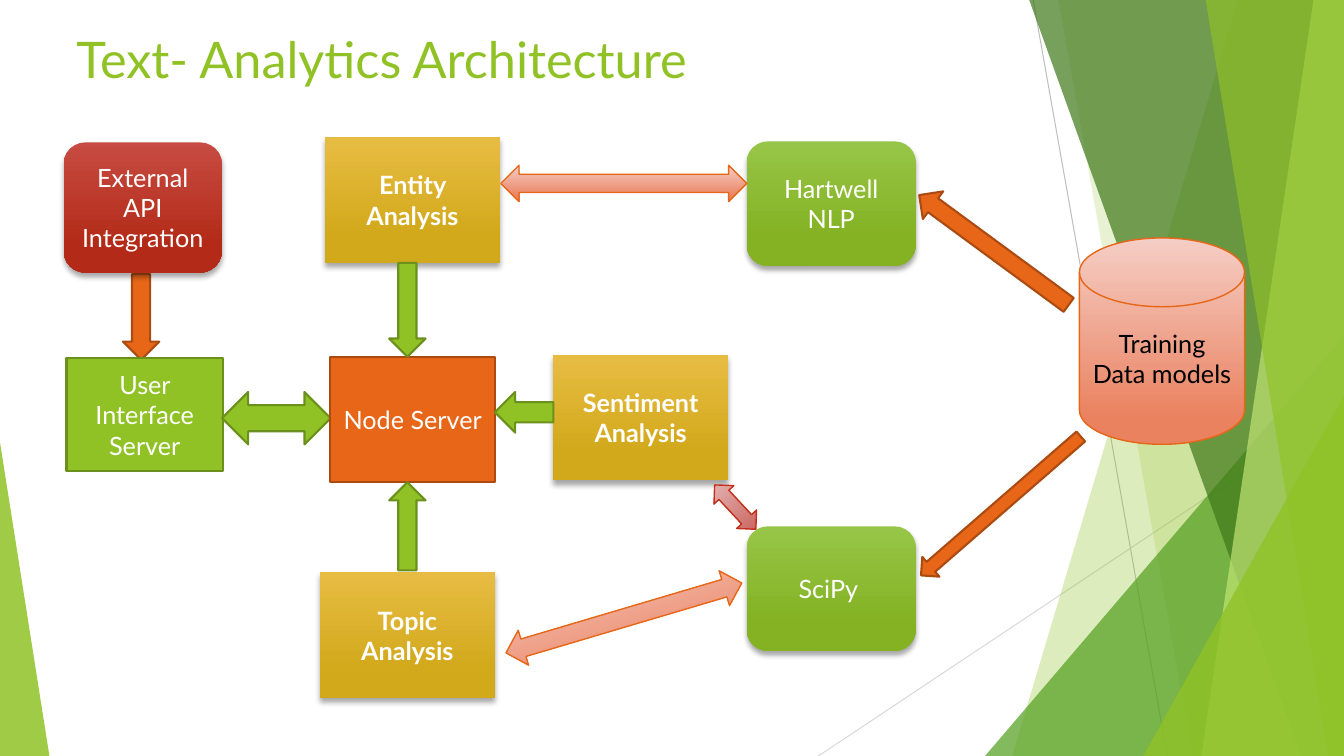
from lxml import etree
from pptx import Presentation
from pptx.dml.color import RGBColor
from pptx.enum.shapes import MSO_CONNECTOR, MSO_SHAPE
from pptx.enum.text import MSO_ANCHOR, PP_ALIGN
from pptx.oxml.ns import qn
from pptx.util import Pt

RECT = MSO_SHAPE.RECTANGLE
ROUND = MSO_SHAPE.ROUNDED_RECTANGLE
DISK = MSO_SHAPE.FLOWCHART_MAGNETIC_DISK
PEAK = MSO_SHAPE.ISOSCELES_TRIANGLE
UP = MSO_SHAPE.UP_ARROW
DOWN = MSO_SHAPE.DOWN_ARROW
LEFT = MSO_SHAPE.LEFT_ARROW
WIDE = MSO_SHAPE.LEFT_RIGHT_ARROW
TALL = MSO_SHAPE.UP_DOWN_ARROW
LINE = MSO_CONNECTOR.STRAIGHT
CENTER = PP_ALIGN.CENTER
MIDDLE = MSO_ANCHOR.MIDDLE
TOP = MSO_ANCHOR.TOP

FONT = "Lato"
WHITE = "FFFFFF"
GREEN = "90C226"
MOSS = "6B901C"
FLAME = "E76618"
RUST = "AB4B12"
GOLD = ("E7BC43", "D2A91B", 0.78)
BRICK = ("C74B42", "B32B18", 0.78)
LIME = ("97C547", "84B223", 0.78)
ROSE = ("E6BFBE", "CB6560", 0.88)
PEACH = ("F5CEC5", "EA815F", 0.88)


def color(text):
    return RGBColor.from_string(text)


def paint(shape, fill, alpha=100):
    if isinstance(fill, tuple):
        shape.fill.gradient()
        shape.fill.gradient_angle = 270
        first, last = shape.fill.gradient_stops
        first.color.rgb = color(fill[0])
        first.position = 0
        last.color.rgb = color(fill[1])
        last.position = fill[2]
    else:
        shape.fill.solid()
        shape.fill.fore_color.rgb = color(fill)
    if alpha < 100:
        tint = shape.element.spPr.find(qn("a:solidFill"))[0]
        etree.SubElement(tint, qn("a:alpha"), val=str(alpha * 1000))


def edge(shape, line, width):
    if line:
        shape.line.color.rgb = color(line)
        shape.line.width = Pt(width)
    else:
        shape.line.fill.background()
    shape.shadow.inherit = False


def shade(shape):
    effects = shape.element.spPr.find(qn("a:effectLst"))
    drop = etree.SubElement(effects, qn("a:outerShdw"), blurRad=str(Pt(4)),
                            dist=str(Pt(3)), dir="5400000", rotWithShape="0")
    black = etree.SubElement(drop, qn("a:srgbClr"), val="000000")
    etree.SubElement(black, qn("a:alpha"), val="35000")


def write(shape, text, size, ink, bold=False):
    frame = shape.text_frame
    frame.word_wrap = True
    run = frame.paragraphs[0].add_run()
    run.text = text
    run.font.name = FONT
    run.font.size = Pt(size)
    run.font.bold = bold
    run.font.color.rgb = color(ink)
    return frame


def place(slide, kind, box, fill, line=None, width=1.5, alpha=100):
    shape = slide.shapes.add_shape(kind, *map(Pt, box))
    paint(shape, fill, alpha)
    edge(shape, line, width)
    return shape


def block(slide, kind, box, text, fill, line=None, width=1.5, ink=WHITE, bold=False):
    shape = place(slide, kind, box, fill, line, width)
    if not line:
        shade(shape)
    frame = write(shape, text, 18, ink, bold)
    frame.vertical_anchor = MIDDLE
    frame.paragraphs[0].alignment = CENTER


def arrow(slide, kind, box, fill, line, width=1.5, turn=0):
    place(slide, kind, box, fill, line, width).rotation = turn


def thread(slide, ends, tint):
    line = slide.shapes.add_connector(LINE, *map(Pt, ends))
    line.line.color.rgb = color(tint)
    line.line.width = Pt(0.75)
    etree.SubElement(line.element.spPr, qn("a:effectLst"))


def shard(slide, top, low, fill, alpha):
    form = slide.shapes.build_freeform(Pt(top), 0)
    form.add_line_segments([(Pt(960), 0), (Pt(960), Pt(540)), (Pt(low), Pt(540))])
    shape = form.convert_to_shape()
    paint(shape, fill, alpha)
    edge(shape, None, 0)


def peak(slide, left, top, wide, tip, fill, alpha):
    box = (left, top, wide, 540 - top)
    place(slide, PEAK, box, fill, alpha=alpha).adjustments[0] = tip


def decor(slide):
    thread(slide, (738, 0, 833.8, 540), "BFBFBF")
    thread(slide, (960, 290, 584.6, 540), "D9D9D9")
    shard(slide, 884.2, 723, GREEN, 30)
    shard(slide, 756, 851.8, GREEN, 20)
    peak(slide, 703.6, 240, 256.4, 1, "54A021", 72)
    shard(slide, 735.2, 929.5, "3F7819", 70)
    shard(slide, 938.2, 858.2, "C0E474", 70)
    shard(slide, 861.2, 949, GREEN, 65)
    peak(slide, 816.6, 283, 143.4, 1, GREEN, 80)
    peak(slide, 0, 316, 35.3, 0, GREEN, 85)


def title(slide, text):
    box = slide.shapes.add_textbox(Pt(47.5), Pt(16.6), Pt(677), Pt(103.7))
    write(box, text, 36, GREEN).vertical_anchor = TOP


def main():
    deck = Presentation()
    deck.slide_width, deck.slide_height = Pt(960), Pt(540)
    slide = deck.slides.add_slide(deck.slide_layouts[6])
    decor(slide)
    title(slide, "Text- Analytics Architecture")

    arrow(slide, DOWN, (87.8, 195.8, 26, 61.2), FLAME, RUST)
    block(slide, RECT, (47.5, 256, 111.8, 80.8), "User Interface Server", GREEN, MOSS)
    block(slide, ROUND, (45.5, 101.7, 113, 93), "External API Integration", BRICK)
    arrow(slide, WIDE, (158.6, 280, 77.6, 37.4), GREEN, MOSS)
    block(slide, RECT, (236, 255.2, 117.6, 89.2), "Node Server", FLAME, RUST)

    for left, top, text in ((232, 98, "Entity Analysis"),
                            (228.4, 408.8, "Topic Analysis"),
                            (395, 253.3, "Sentiment Analysis")):
        block(slide, RECT, (left, top, 125.3, 89.8), text, GOLD, bold=True)
    arrow(slide, DOWN, (278, 187.8, 26, 67), GREEN, MOSS)
    arrow(slide, UP, (278, 344.4, 26, 63), GREEN, MOSS)
    arrow(slide, LEFT, (353.5, 280, 41.8, 29), GREEN, MOSS)

    for top, text in ((101, "Hartwell NLP"), (376, "SciPy ")):
        block(slide, ROUND, (533.5, top, 120.5, 88.8), text, LIME)
    arrow(slide, TALL, (515.5, 340.6, 19.4, 43.2), ROSE, "C42F1A", 1, 317.1)
    block(slide, DISK, (771, 170, 118, 147.4), "Training Data models",
          PEACH, FLAME, 1, "000000")
    arrow(slide, DOWN, (697.7, 112.3, 24.5, 132.5), FLAME, RUST, turn=126.3)
    arrow(slide, DOWN, (705.6, 285.8, 18.7, 151.2), FLAME, RUST, turn=49)
    for top, turn in ((428.4, 343.5), (118, 0)):
        arrow(slide, WIDE, (357.8, top, 175.7, 26), PEACH, FLAME, 1, turn)
    deck.save("out.pptx")


if __name__ == "__main__":
    main()
